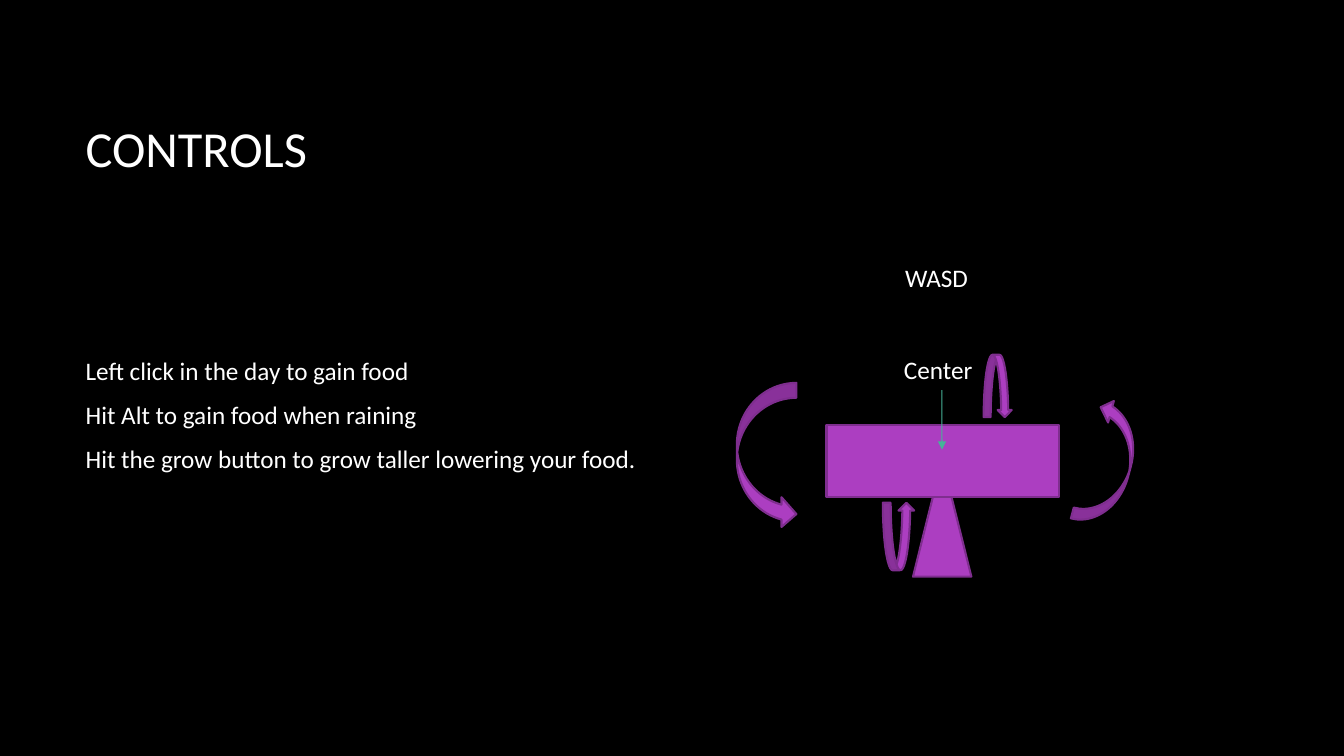
from lxml import etree
from pptx import Presentation
from pptx.dml.color import RGBColor
from pptx.enum.shapes import MSO_CONNECTOR, MSO_SHAPE as Shape
from pptx.enum.text import MSO_ANCHOR as Anchor
from pptx.oxml.ns import qn
from pptx.util import Cm, Pt

# Content: lengths in cm as left, top, width, height
BLACK, WHITE, PURPLE, PLUM, TEAL = "000000", "FFFFFF", "AC3EC1", "7F2E8F", "46B298"
FONT = "Calibri"

TITLE = (["CONTROLS"], (1.91, 1.7, 28.14, 4.04), 36, Anchor.MIDDLE)
INSTRUCTIONS = ([
    "Left click in the day to gain food",
    "Hit Alt to gain food when raining",
    "Hit the grow button to grow taller lowering your food.",
], (1.91, 5.94, 28.14, 9.01), 18, Anchor.MIDDLE)
KEYS_LABEL = (["WASD"], (22.56, 6.48, 2.41, 1.02), 18, Anchor.TOP)
CENTER_LABEL = (["Center"], (22.53, 8.81, 2.41, 1.02), 18, Anchor.TOP)

# Seesaw and its turning arrows: preset, box, rotation
SEESAW = [
    (Shape.ISOSCELES_TRIANGLE, (23.01, 11.58, 1.47, 2.95), 0),
    (Shape.RECTANGLE, (20.83, 10.72, 5.87, 1.8), 0),
]
TURNS = [
    (Shape.CURVED_RIGHT_ARROW, (18.57, 9.65, 1.5, 3.68), 0),
    (Shape.CURVED_RIGHT_ARROW, (27.38, 10.08, 1.12, 3.18), 195),
    (Shape.CURVED_UP_ARROW, (22.25, 12.67, 0.79, 1.7), 0),
    (Shape.CURVED_DOWN_ARROW, (24.79, 8.94, 0.71, 1.57), 0),
]
POINTER_TIP = (23.74, 11.33)


def color(hex_text):
    return RGBColor.from_string(hex_text)


def add_text(slide, lines, box, size, anchor):
    shape = slide.shapes.add_textbox(*map(Cm, box))
    frame = shape.text_frame
    frame.word_wrap = True
    frame.vertical_anchor = anchor
    frame.text = "\n".join(lines)
    for paragraph in frame.paragraphs:
        if len(lines) > 1:
            paragraph.space_after = Pt(10)
        font = paragraph.runs[0].font
        font.name, font.size = FONT, Pt(size)
        font.color.rgb = color(WHITE)
    return shape


def add_part(slide, preset, box, rotation):
    shape = slide.shapes.add_shape(preset, *map(Cm, box))
    shape.rotation = rotation
    shape.shadow.inherit = False
    shape.fill.solid()
    shape.fill.fore_color.rgb = color(PURPLE)
    shape.line.color.rgb = color(PLUM)
    shape.line.width = Pt(1.5)


def add_pointer(slide, label, tip):
    x, y = map(Cm, tip)
    pointer = slide.shapes.add_connector(MSO_CONNECTOR.STRAIGHT, x, y, x, y)
    pointer.begin_connect(label, 2)
    pointer.line.color.rgb = color(TEAL)
    pointer.line.width = Pt(0.75)
    etree.SubElement(pointer.line._get_or_add_ln(), qn("a:tailEnd"), type="triangle")
    etree.SubElement(pointer._element.spPr, qn("a:effectLst"))


def main():
    presentation = Presentation()
    presentation.slide_width, presentation.slide_height = Cm(33.87), Cm(19.05)
    slide = presentation.slides.add_slide(presentation.slide_layouts[6])
    slide.background.fill.solid()
    slide.background.fill.fore_color.rgb = color(BLACK)

    # Heading and instructions
    add_text(slide, *TITLE)
    add_text(slide, *INSTRUCTIONS)

    # Diagram
    for part in SEESAW:
        add_part(slide, *part)
    add_text(slide, *KEYS_LABEL)
    center_label = add_text(slide, *CENTER_LABEL)
    add_pointer(slide, center_label, POINTER_TIP)
    for turn in TURNS:
        add_part(slide, *turn)

    presentation.save("out.pptx")


if __name__ == "__main__":
    main()
